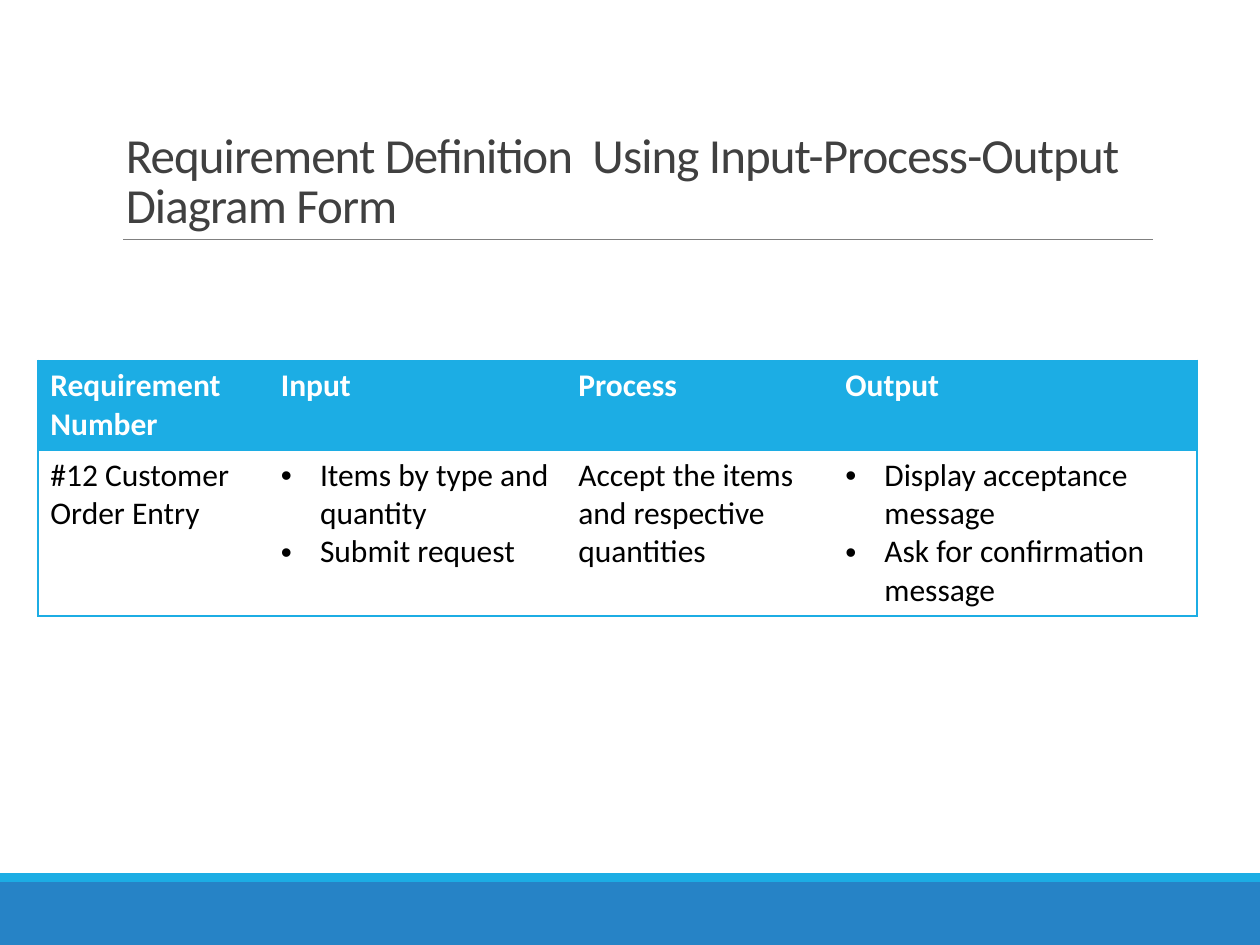
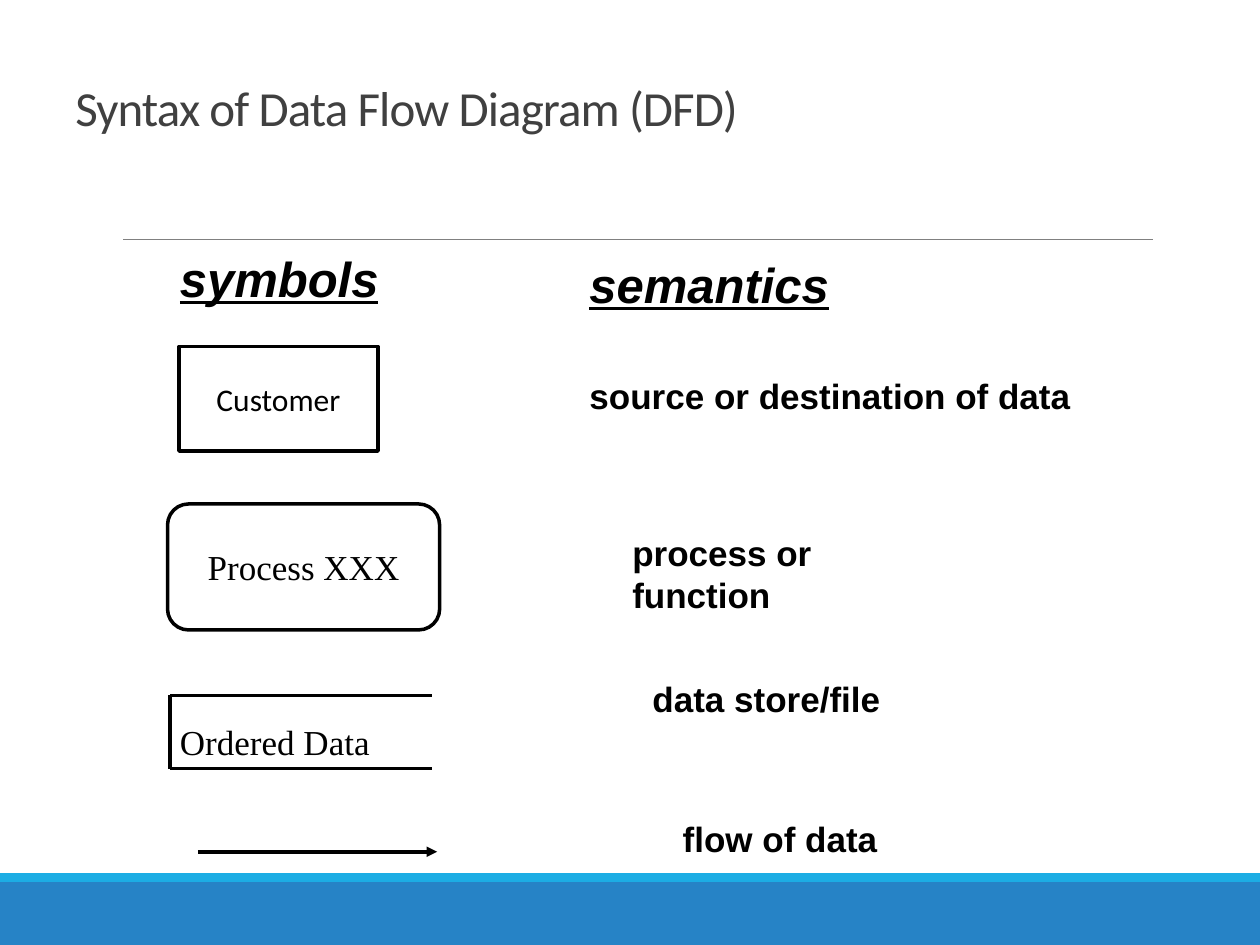
import pptx
import pptx.util
import pptx.dml.color
import pptx.enum.shapes
import pptx.enum.text
import pptx.oxml.ns
import lxml.etree

COLORS = {
    "band": "2683C6", "accent": "1CADE4", "rule": "808080",
    "title": "404040", "ink": "000000", "paper": "FFFFFF",
}
COLUMNS, ROWS = 100, 75
SHAPES = pptx.enum.shapes.MSO_SHAPE
ANCHOR = pptx.enum.text.MSO_ANCHOR
ALIGN = pptx.enum.text.PP_ALIGN
NO_TABLE_STYLE = "{2D5ABB26-0587-4C30-8999-92F81FD0307C}"


def color(name):
    return pptx.dml.color.RGBColor.from_string(COLORS[name])


def add_xml(parent, tag, **attributes):
    return lxml.etree.SubElement(parent, pptx.oxml.ns.qn(tag), attributes)


class Deck:
    def __init__(self):
        self.file = pptx.Presentation()
        self.file.slide_width = pptx.util.Inches(10)
        self.file.slide_height = pptx.util.Inches(7.5)
        self.column = self.file.slide_width / COLUMNS
        self.row = self.file.slide_height / ROWS
        self.slide = None

    def place(self, left, top, width, height):
        return (round(left * self.column), round(top * self.row),
                round(width * self.column), round(height * self.row))

    def new_slide(self, title, title_area):
        self.slide = self.file.slides.add_slide(self.file.slide_layouts[6])
        self.shape((0, 70, COLUMNS, 5), "band")
        self.shape((0, 69.3, COLUMNS, 0.7), "accent")
        self.line((9.8, 19), (91.5, 19), "rule", 0.5)
        heading = self.text(title, title_area, size=28, font="Calibri",
                            ink="title", anchor=ANCHOR.BOTTOM, wrap=True)
        paragraph = heading.text_frame.paragraphs[0]
        paragraph.line_spacing = 0.85
        paragraph.runs[0].font._element.set("spc", "-50")

    def fill_text(self, frame, lines, size, font, ink="ink", bold=False,
                  accented=False, align=ALIGN.LEFT, bullets=False):
        for index, line in enumerate(lines):
            paragraph = frame.paragraphs[0] if index == 0 else frame.add_paragraph()
            paragraph.text = line
            paragraph.alignment = align
            if bullets:
                properties = paragraph._p.get_or_add_pPr()
                indent = pptx.util.Inches(0.31)
                properties.set("marL", str(indent))
                properties.set("indent", str(-indent))
                add_xml(properties, "a:buFont", typeface="Arial")
                add_xml(properties, "a:buChar", char="•")
            for run in paragraph.runs:
                run.font.size = pptx.util.Pt(size)
                run.font.name = font
                run.font.bold = bold
                run.font.italic = run.font.underline = accented
                run.font.color.rgb = color(ink)

    def text(self, wording, area, anchor=ANCHOR.TOP, wrap=False, **style):
        box = self.slide.shapes.add_textbox(*self.place(*area))
        box.text_frame.word_wrap = wrap
        box.text_frame.vertical_anchor = anchor
        self.fill_text(box.text_frame, [wording], **style)
        return box

    def shape(self, area, fill, kind=SHAPES.RECTANGLE, outline=None):
        shape = self.slide.shapes.add_shape(kind, *self.place(*area))
        shape.shadow.inherit = False
        shape.fill.solid()
        shape.fill.fore_color.rgb = color(fill)
        if outline:
            shape.line.color.rgb = color(outline)
            shape.line.width = pptx.util.Pt(2)
        else:
            shape.line.fill.background()
        return shape

    def symbol(self, wording, area, kind, size, font):
        symbol = self.shape(area, "paper", kind, "ink")
        symbol.text_frame.word_wrap = False
        symbol.text_frame.vertical_anchor = ANCHOR.MIDDLE
        self.fill_text(symbol.text_frame, [wording], size, font, align=ALIGN.CENTER)

    def line(self, start, end, ink="ink", width=2, arrow=False):
        line = self.slide.shapes.add_connector(
            pptx.enum.shapes.MSO_CONNECTOR.STRAIGHT,
            *self.place(*start, *end))
        line.line.color.rgb = color(ink)
        line.line.width = pptx.util.Pt(width)
        if arrow:
            add_xml(line.line._get_or_add_ln(), "a:tailEnd", type="triangle")
        add_xml(line._element.spPr, "a:effectLst")

    def borders(self, cell, sides):
        properties = cell._tc.get_or_add_tcPr()
        for side in "LRTB":
            drawn = side in sides
            border = add_xml(properties, "a:ln" + side, w="12700" if drawn else "0")
            if drawn:
                fill = add_xml(border, "a:solidFill")
                add_xml(fill, "a:srgbClr", val=COLORS["accent"])
            else:
                add_xml(border, "a:noFill")

    def table(self, left, top, widths, heights, content):
        area = self.place(left, top, sum(widths), sum(heights))
        table = self.slide.shapes.add_table(len(heights), len(widths), *area).table
        style = table._tbl.tblPr.find(pptx.oxml.ns.qn("a:tableStyleId"))
        style.text = NO_TABLE_STYLE
        for column, width in zip(table.columns, widths):
            column.width = round(width * self.column)
        for y, (row, height) in enumerate(zip(table.rows, heights)):
            row.height = round(height * self.row)
            header = y == 0
            for x, cell in enumerate(row.cells):
                sides = "T" if header else "TB"
                sides += "L" if x == 0 else ""
                sides += "R" if x == len(widths) - 1 else ""
                self.borders(cell, sides)
                cell.fill.solid()
                cell.fill.fore_color.rgb = color("accent" if header else "paper")
                lines = content[y][x]
                self.fill_text(cell.text_frame, lines, 18, "Calibri",
                               "paper" if header else "ink", bold=header,
                               bullets=len(lines) > 1)


def requirement_slide(deck):
    deck.new_slide("Requirement Definition  Using Input-Process-Output Diagram Form",
                   (9, 3.1, 82.5, 15.9))
    deck.table(3, 28.6, (18.3, 23.6, 21.2, 28.9), (7.1, 13.2), [
        [["Requirement Number"], ["Input"], ["Process"], ["Output"]],
        [["#12 Customer Order Entry"],
         ["Items by type and quantity", "Submit request"],
         ["Accept the items and respective quantities"],
         ["Display acceptance message", "Ask for confirmation message"]],
    ])


def syntax_slide(deck):
    deck.new_slide("Syntax of Data Flow Diagram (DFD)", (5, 1.7, 86.1, 9.6))
    for heading, area in (("symbols", (13.3, 19.2, 17.8, 5.7)),
                          ("semantics", (45.8, 19.7, 21.1, 5.7))):
        deck.text(heading, area, size=28, font="Arial", bold=True, accented=True)

    deck.symbol("Customer", (14.2, 27.5, 15.8, 8.3), SHAPES.RECTANGLE, 18, "Calibri")
    deck.symbol("Process XXX", (13.3, 40, 21.6, 10), SHAPES.ROUNDED_RECTANGLE,
                20, "Times New Roman")

    store_left, store_right, store_top, store_bottom = 13.5, 34.3, 55.2, 61
    deck.text("Ordered Data", (13.3, 56.7, 18.6, 4.3), size=20, font="Times New Roman")
    for edge in (store_top, store_bottom):
        deck.line((store_left, edge), (store_right, edge))
    deck.line((store_left, store_top), (store_left, store_bottom))

    deck.line((15.7, 67.6), (34.7, 67.6), arrow=True)

    meanings = (("source or destination of data", 45.8, 29.2, 40.9),
                ("process or function", 49.2, 41.7, 20),
                ("data store/file", 50.8, 53.3, 20.3),
                ("flow of data", 53.2, 64.4, 17.6))
    for meaning, left, top, width in meanings:
        deck.text(meaning, (left, top, width, 4.3), size=20, font="Arial",
                  bold=True, wrap=meaning.startswith("process"))


def main():
    deck = Deck()
    requirement_slide(deck)
    syntax_slide(deck)
    deck.file.save("out.pptx")


if __name__ == "__main__":
    main()
